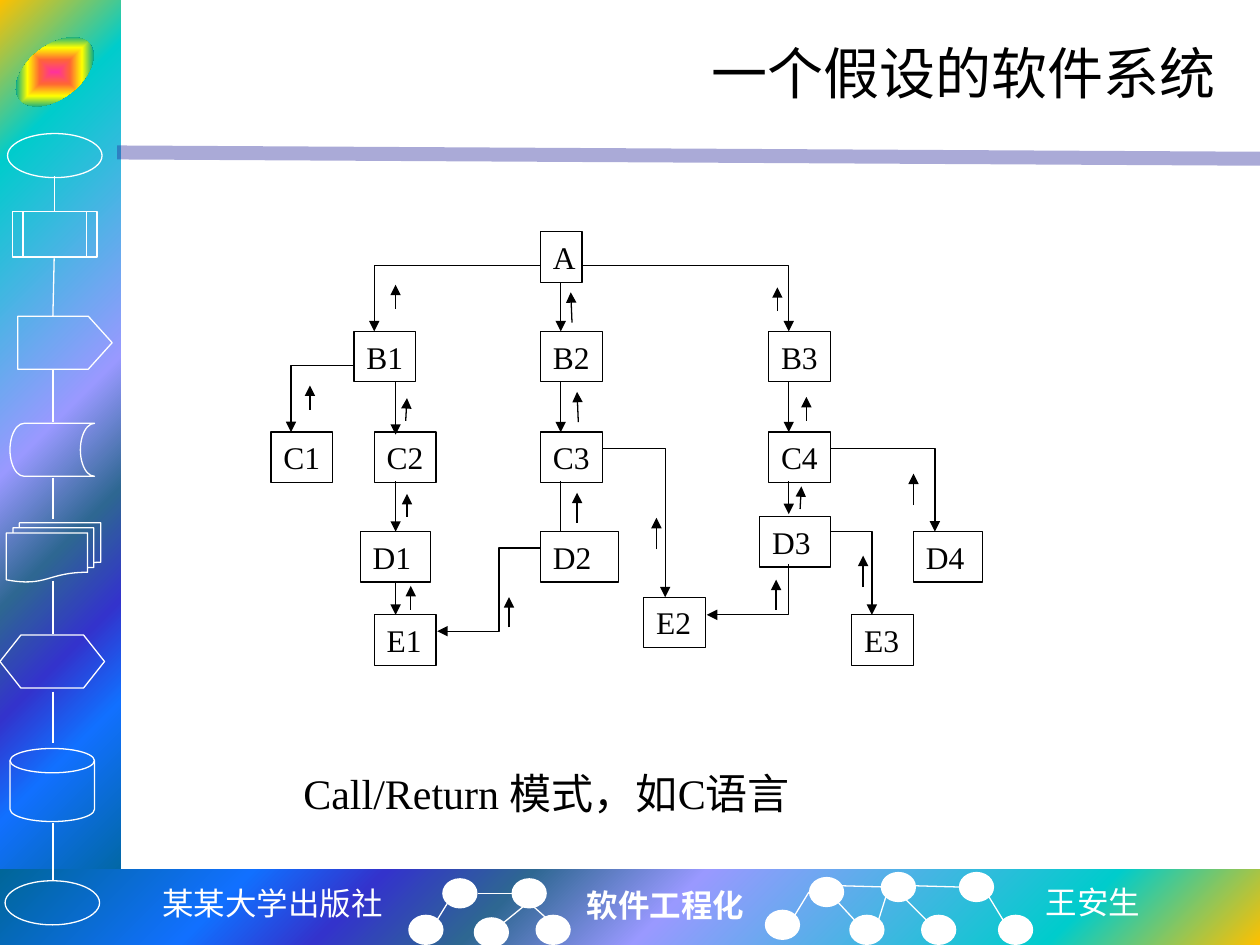
from dataclasses import dataclass

from lxml.etree import SubElement
from pptx import Presentation
from pptx.dml.color import RGBColor
from pptx.enum.shapes import MSO_CONNECTOR, MSO_SHAPE
from pptx.enum.text import MSO_ANCHOR, PP_ALIGN
from pptx.oxml.ns import qn
from pptx.util import Inches, Pt

COLORS = {"black": "000000", "white": "FFFFFF", "rule": "262699"}
PANEL_STOPS = [(0, "FFC000"), (16, "00CCCC"), (47, "9999FF"), (60, "2E6792"),
               (71, "3333CC"), (81, "1170FF"), (100, "006699")]
BADGE_STOPS = [(0, "FF3399"), (25, "FF6633"), (50, "FFFF00"), (75, "01A78F"), (100, "3366FF")]
SERIF = "Times New Roman"


@dataclass
class Module:
    """A labelled box of the call tree."""
    label: str
    left: float
    top: float
    width: float = 0.49


@dataclass
class ReturnArrow:
    """A short upward arrow beside a call."""
    left: float
    bottom: float
    length: float = 0.24
    lean: float = 0


@dataclass
class Symbol:
    """A flowchart outline in the side panel."""
    kind: MSO_SHAPE
    left: float
    top: float
    width: float
    height: float


@dataclass
class Caption:
    """A free text line."""
    text: str
    left: float
    top: float
    width: float
    height: float = 0.4
    font: str = SERIF
    size: int = 18
    color: str = "white"
    bold: bool = False
    wrap: bool = False


def rgb(name):
    """Look up a named colour."""
    return RGBColor.from_string(COLORS[name])


def format_text(paragraph, size, color, font=SERIF, bold=False, align=PP_ALIGN.LEFT):
    """Set the font and alignment of a paragraph."""
    paragraph.alignment = align
    paragraph.font.name = font
    paragraph.font.size = Pt(size)
    paragraph.font.bold = bold
    paragraph.font.color.rgb = rgb(color)


def add_shape(kind, left, top, width, height, fill=None, line=None):
    """Add a flat preset shape with optional fill and outline."""
    shape = slide.shapes.add_shape(kind, Inches(left), Inches(top), Inches(width), Inches(height))
    shape.shadow.inherit = False
    if fill:
        shape.fill.solid()
        shape.fill.fore_color.rgb = rgb(fill)
    else:
        shape.fill.background()
    if line:
        shape.line.color.rgb = rgb(line)
        shape.line.width = Pt(0.75)
    else:
        shape.line.fill.background()
    return shape


def add_path_gradient(shape, stops, path, focus):
    """Fill a shape with a gradient that spreads from a focus (left, top, right, bottom)."""
    shape.fill.gradient()
    gradient = shape._element.spPr.find(qn("a:gradFill"))
    gradient.clear()
    stop_list = SubElement(gradient, qn("a:gsLst"))
    for position, color in stops:
        stop = SubElement(stop_list, qn("a:gs"), pos=str(position * 1000))
        SubElement(stop, qn("a:srgbClr"), val=color)
    spread = SubElement(gradient, qn("a:path"), path=path)
    sides = {side: str(value * 1000) for side, value in zip("ltrb", focus)}
    SubElement(spread, qn("a:fillToRect"), **sides)


def add_route(points, color="black", arrow=False, width=0.75):
    """Draw a straight line, or a bent one when there are more than two points."""
    points = [(Inches(x), Inches(y)) for x, y in points]
    if len(points) == 2:
        route = slide.shapes.add_connector(MSO_CONNECTOR.STRAIGHT, *points[0], *points[1])
    else:
        builder = slide.shapes.build_freeform(*points[0])
        builder.add_line_segments(points[1:], close=False)
        route = builder.convert_to_shape()
        route.fill.background()
    route.line.color.rgb = rgb(color)
    route.line.width = Pt(width)
    properties = route._element.spPr
    if arrow:
        SubElement(properties.find(qn("a:ln")), qn("a:tailEnd"), type="triangle")
    SubElement(properties, qn("a:effectLst"))
    return route


def add_module(module):
    """Draw a box of the call tree."""
    shape = add_shape(MSO_SHAPE.RECTANGLE, module.left, module.top, module.width, 0.4, line="black")
    frame = shape.text_frame
    frame.vertical_anchor = MSO_ANCHOR.TOP
    frame.margin_right = 0
    frame.text = module.label
    format_text(frame.paragraphs[0], 18, "black")


def add_caption(caption):
    """Write a caption."""
    box = slide.shapes.add_textbox(Inches(caption.left), Inches(caption.top),
                                   Inches(caption.width), Inches(caption.height))
    frame = box.text_frame
    frame.word_wrap = caption.wrap
    frame.text = caption.text
    format_text(frame.paragraphs[0], caption.size, caption.color, caption.font, caption.bold)


presentation = Presentation()
presentation.slide_width, presentation.slide_height = Inches(10), Inches(7.5)
slide = presentation.slides.add_slide(presentation.slide_layouts[5])

title = slide.shapes.title
title.left, title.top, title.width, title.height = map(Inches, (1.25, 0.17, 8.5, 0.81))
title.text_frame.text = "一个假设的软件系统"
title.text_frame.vertical_anchor = MSO_ANCHOR.MIDDLE
format_text(title.text_frame.paragraphs[0], 32, "black", align=PP_ALIGN.RIGHT)

# Side panel, footer band and header rule
for place, focus in [((0, 0, 0.96, 7.09), (0, 0, 100, 100)), ((0, 6.9, 10, 0.6), (100, 100, 0, 0))]:
    add_path_gradient(add_shape(MSO_SHAPE.RECTANGLE, *place), PANEL_STOPS, "circle", focus)
header_rule = add_route([(0.93, 1.21), (10, 1.26)], "rule", width=8)
SubElement(next(header_rule._element.spPr.iter(qn("a:srgbClr"))), qn("a:alpha"), val="39000")

badge = add_shape(MSO_SHAPE.OVAL, 0.08, 0.36, 0.71, 0.42)
badge.rotation = -38
add_path_gradient(badge, BADGE_STOPS, "shape", (50, 50, 50, 50))

for symbol in [
    Symbol(MSO_SHAPE.OVAL, 0.06, 1.06, 0.75, 0.35),
    Symbol(MSO_SHAPE.FLOWCHART_PREDEFINED_PROCESS, 0.1, 1.68, 0.67, 0.36),
    Symbol(MSO_SHAPE.PENTAGON, 0.14, 2.51, 0.75, 0.42),
    Symbol(MSO_SHAPE.FLOWCHART_STORED_DATA, 0.08, 3.36, 0.67, 0.42),
    Symbol(MSO_SHAPE.FLOWCHART_MULTIDOCUMENT, 0.05, 4.15, 0.75, 0.47),
    Symbol(MSO_SHAPE.FLOWCHART_PREPARATION, 0, 5.04, 0.83, 0.42),
    Symbol(MSO_SHAPE.FLOWCHART_MAGNETIC_DISK, 0.08, 5.94, 0.67, 0.58),
    Symbol(MSO_SHAPE.OVAL, 0.04, 6.99, 0.75, 0.35),
]:
    outline = add_shape(symbol.kind, symbol.left, symbol.top, symbol.width, symbol.height, line="white")
    if symbol.kind == MSO_SHAPE.PENTAGON:
        outline.adjustments[0] = 0.45
for start, end in [(1.4, 1.68), (2.05, 2.51), (2.93, 3.35), (3.79, 4.12),
                   (4.61, 5.03), (5.49, 5.9), (6.53, 6.99)]:
    add_route([(0.43 if start < 2.5 else 0.42, start), (0.43 if end < 2 else 0.42, end)], "white")

# Footer trees
for left, top in [(3.51, 6.97), (4.06, 6.97), (3.24, 7.26), (3.76, 7.28), (4.25, 7.26),
                  (6.42, 6.96), (6.99, 6.92), (7.61, 6.92), (6.07, 7.22), (6.74, 7.26),
                  (7.31, 7.26), (7.92, 7.26)]:
    add_shape(MSO_SHAPE.OVAL, left, top, 0.28, 0.24, fill="white")
for branch in [
    [(3.47, 7.3), (3.55, 7.17)], [(4, 7.32), (4.16, 7.19)], [(4.06, 7.09), (3.79, 7.09)],
    [(4.34, 7.29), (4.24, 7.2)], [(6.78, 7.3), (6.65, 7.16)], [(7.35, 7.3), (7.15, 7.1)],
    [(7.96, 7.3), (7.85, 7.12)], [(6.97, 7.31), (7.03, 7.12)], [(7.26, 7.03), (7.61, 7.04)],
    [(6.31, 7.26), (6.42, 7.08)], [(6.68, 7.03), (7.03, 7.04)],
]:
    add_route(branch, "white")

# Call tree
ROW_A, ROW_B, ROW_C, ROW_D, ROW_E = 1.84, 2.63, 3.43, 4.22, 4.88
for module in [
    Module("A", 4.29, ROW_A, 0.33),
    Module("B1", 2.81, ROW_B), Module("B2", 4.29, ROW_B), Module("B3", 6.1, ROW_B),
    Module("C1", 2.15, ROW_C), Module("C2", 2.97, ROW_C),
    Module("C3", 4.29, ROW_C), Module("C4", 6.1, ROW_C),
    Module("D1", 2.86, ROW_D, 0.56), Module("D2", 4.29, ROW_D, 0.62),
    Module("D3", 6.03, 4.1, 0.56), Module("D4", 7.25, ROW_D, 0.55),
    Module("E1", 2.97, ROW_E), Module("E2", 5.11, 4.74), Module("E3", 6.76, ROW_E),
]:
    add_module(module)

for call in [
    [(4.29, 2.11), (2.97, 2.11), (2.97, ROW_B)], [(4.62, 2.11), (6.26, 2.11), (6.26, ROW_B)],
    [(2.81, 2.9), (2.31, 2.9), (2.31, ROW_C)], [(6.26, 4.48), (6.26, 4.88), (5.61, 4.88)],
    [(6.59, 4.22), (6.92, 4.22), (6.92, ROW_E)], [(6.59, 3.56), (7.42, 3.56), (7.42, ROW_D)],
    [(4.78, 3.56), (5.28, 3.56), (5.28, 4.74)],
    [(4.29, 4.35), (3.96, 4.35), (3.96, 5.01), (3.47, 5.01)],
    [(4.45, 2.24), (4.45, ROW_B)], [(4.45, 3.03), (4.45, ROW_C)],
    [(3.14, 3.03), (3.14, 3.45)], [(3.14, 3.82), (3.14, ROW_D)], [(3.14, 4.61), (3.14, ROW_E)],
    [(6.26, 3.03), (6.26, ROW_C)], [(6.26, 3.82), (6.26, 4.08)],
]:
    add_route(call, arrow=True)
add_route([(4.45, 3.82), (4.45, ROW_D)])

for back in [
    ReturnArrow(4.59, 3.35, lean=-0.01), ReturnArrow(4.54, 2.56, lean=-0.01), ReturnArrow(4.58, 4.15),
    ReturnArrow(3.26, 4.84, 0.19), ReturnArrow(3.23, 4.1, 0.18), ReturnArrow(3.22, 3.34, 0.18, 0.01),
    ReturnArrow(6.35, 4.04, 0.18, 0.01), ReturnArrow(6.4, 3.34, 0.19), ReturnArrow(2.46, 3.25, 0.19),
    ReturnArrow(3.14, 2.45, 0.19), ReturnArrow(6.17, 2.47, 0.19), ReturnArrow(7.25, 4.01, 0.25),
    ReturnArrow(6.85, 4.66, 0.25), ReturnArrow(6.16, 4.84), ReturnArrow(5.21, 4.36, 0.25),
    ReturnArrow(4.04, 4.98),
]:
    add_route([(back.left, back.bottom), (back.left + back.lean, back.bottom - back.length)], arrow=True)

for caption in [
    Caption("某某大学出版社", 1.19, 6.97, 1.97, font="Noto Sans Mono"),
    Caption("软件工程化", 4.56, 6.98, 1.46, bold=True),
    Caption("王安生", 8.2, 6.96, 0.96, font="Noto Sans CJK SC"),
    Caption("Call/Return 模式，如C语言", 2.31, 6.04, 4.1, 0.5, size=24, color="black", wrap=True),
]:
    add_caption(caption)

presentation.save("out.pptx")
